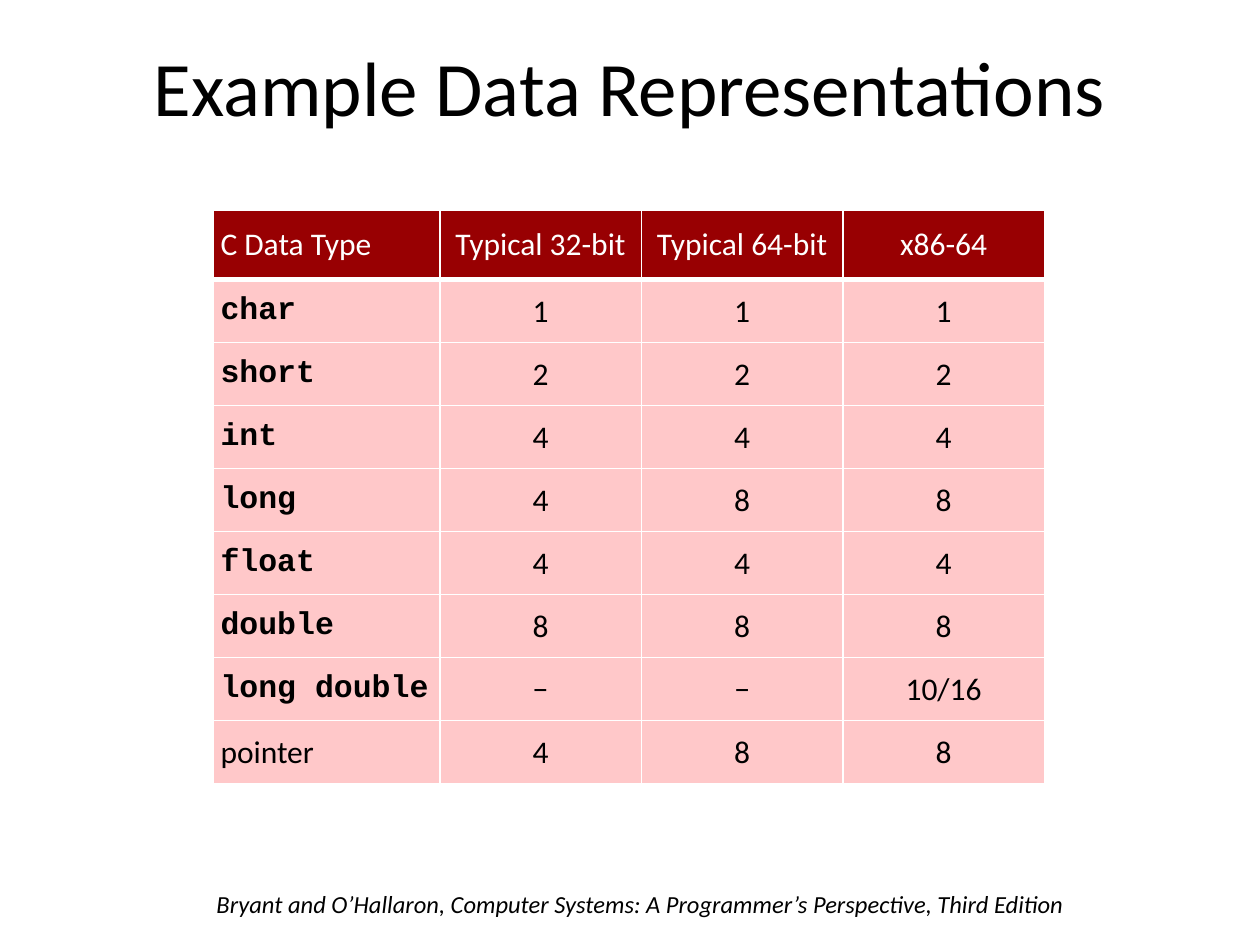
from lxml import etree
from pptx import Presentation
from pptx.dml.color import RGBColor
from pptx.enum.text import MSO_ANCHOR, PP_ALIGN
from pptx.oxml.ns import qn
from pptx.util import Inches, Pt

LEFT, CENTER = PP_ALIGN.LEFT, PP_ALIGN.CENTER
MIDDLE = MSO_ANCHOR.MIDDLE
BLACK = RGBColor(0, 0, 0)
WHITE = RGBColor(0xFF, 0xFF, 0xFF)
RED = RGBColor(0x98, 0, 0x02)
PINK = RGBColor(0xFF, 0xC8, 0xC9)
SANS, MONO = "Calibri", "Courier New"

HEAD = ("C Data Type", "Typical 32-bit", "Typical 64-bit", "x86-64")
SIZES = (
    ("char", "1", "1", "1"),
    ("short", "2", "2", "2"),
    ("int", "4", "4", "4"),
    ("long", "4", "8", "8"),
    ("float", "4", "4", "4"),
    ("double", "8", "8", "8"),
    ("long double", "−", "−", "10/16"),
    ("pointer", "4", "8", "8"),
)


def write(frame, text, size, color=BLACK, face=SANS, align=LEFT):
    """Set one line of text and return its font."""
    frame.text = text
    line = frame.paragraphs[0]
    line.alignment = align
    font = line.runs[0].font
    font.size, font.name = Pt(size), face
    font.color.rgb = color
    return font


def place(shape, box):
    shape.left, shape.top, shape.width, shape.height = map(Inches, box)


def add_title(slide, box):
    title = slide.shapes.title
    place(title, box)
    frame = title.text_frame
    frame.vertical_anchor = MIDDLE
    write(frame, "Example Data Representations", 44, align=CENTER)
    frame.paragraphs[0].line_spacing = 0.9


def add_source(slide, box):
    frame = slide.shapes.add_textbox(*map(Inches, box)).text_frame
    frame.word_wrap = True
    font = write(
        frame,
        "Bryant and O’Hallaron, Computer Systems: "
        "A Programmer’s Perspective, Third Edition",
        14,
    )
    font.italic = True


def add_rules(cell, top, base):
    """Draw white borders, with top and base widths in points."""
    props = cell._tc.get_or_add_tcPr()
    widths = (("a:lnL", 1), ("a:lnR", 1), ("a:lnT", top), ("a:lnB", base))
    for spot, (tag, width) in enumerate(widths):
        rule = etree.Element(qn(tag), w=str(Pt(width)))
        fill = etree.SubElement(rule, qn("a:solidFill"))
        etree.SubElement(fill, qn("a:srgbClr"), val=str(WHITE))
        props.insert(spot, rule)


def fill_cell(cell, text, row, col):
    head = row == 0
    code = col == 0 and not head and text != "pointer"
    cell.fill.solid()
    cell.fill.fore_color.rgb = RED if head else PINK
    cell.vertical_anchor = MIDDLE
    cell.margin_left = cell.margin_right = Inches(0.06)
    cell.margin_top = cell.margin_bottom = Inches(0.06)
    font = write(
        cell.text_frame,
        text,
        18,
        WHITE if head else BLACK,
        MONO if code else SANS,
        CENTER if col else LEFT,
    )
    font.bold = code
    add_rules(cell, 3 if row == 1 else 1, 3 if head else 1)


def add_sizes(slide, box):
    data = (HEAD, *SIZES)
    width, height = box[2:]
    first, top = 1.8, 0.55
    rest = (width - first) / (len(HEAD) - 1)
    step = (height - top) / len(SIZES)
    table = slide.shapes.add_table(
        len(data), len(HEAD), *map(Inches, box)
    ).table
    for col, column in enumerate(table.columns):
        column.width = Inches(rest if col else first)
    for row, texts in enumerate(data):
        table.rows[row].height = Inches(step if row else top)
        for col, text in enumerate(texts):
            fill_cell(table.cell(row, col), text, row, col)


def main():
    deck = Presentation()
    deck.slide_width, deck.slide_height = Inches(10), Inches(7.5)
    slide = deck.slides.add_slide(deck.slide_layouts[5])
    add_source(slide, (1.62, 7.01, 7.1, 0.34))
    add_title(slide, (0, 0, 10, 1.45))
    add_sizes(slide, (1.69, 1.67, 6.6, 4.55))
    deck.save("out.pptx")


if __name__ == "__main__":
    main()
